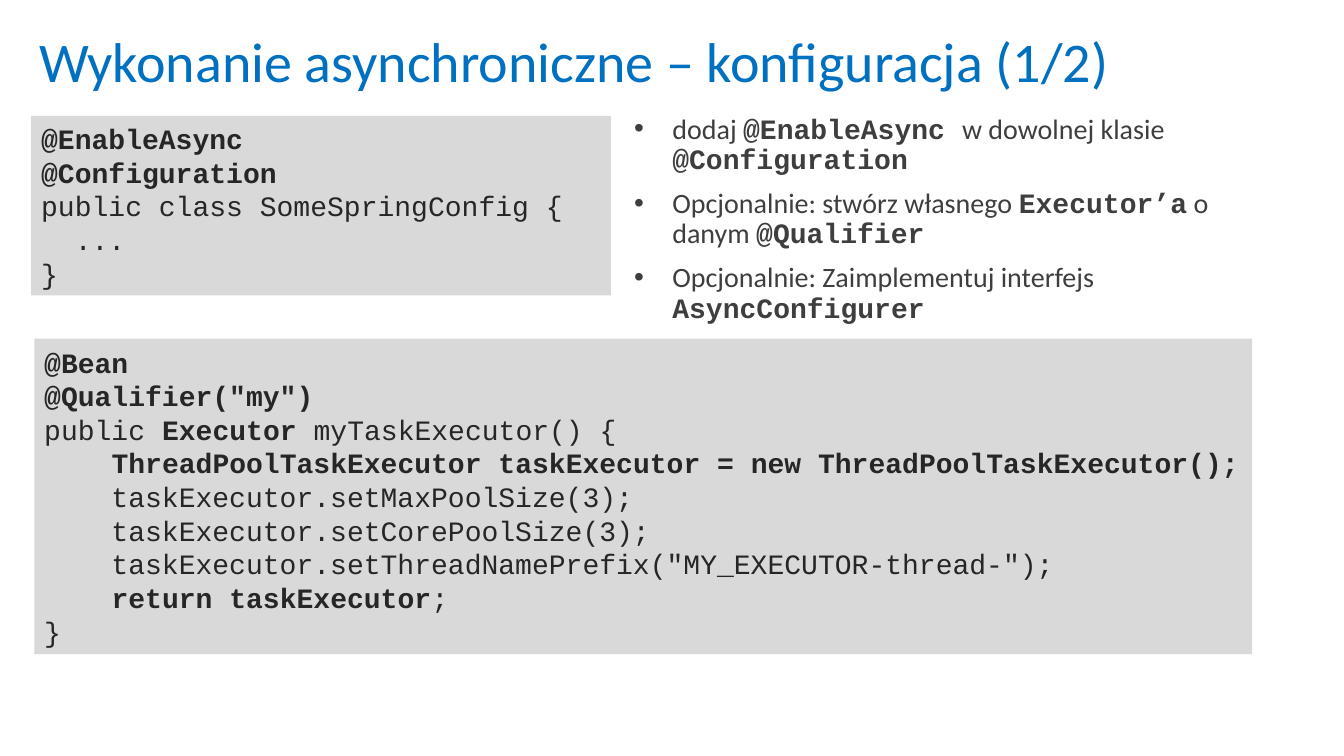
from lxml import etree
from pptx import Presentation
from pptx.dml.color import RGBColor
from pptx.enum.shapes import MSO_SHAPE
from pptx.enum.text import MSO_ANCHOR, PP_ALIGN
from pptx.oxml.ns import qn
from pptx.util import Pt

SCALE = 9144  # EMU per px, 100 px to the inch
COLORS = {"title": "0070C0", "body": "3E3E3E", "code": "262626", "panel": "D9D9D9"}
TEXT_FONT, CODE_FONT = "Calibri", "Courier New"

CONFIG_CODE = """**@EnableAsync**
**@Configuration**
public class SomeSpringConfig {
  ...
}"""

EXECUTOR_CODE = """**@Bean**
**@Qualifier("my")**
public **Executor** myTaskExecutor() {
    **ThreadPoolTaskExecutor taskExecutor = new ThreadPoolTaskExecutor();**
    taskExecutor.setMaxPoolSize(3);
    taskExecutor.setCorePoolSize(3);
    taskExecutor.setThreadNamePrefix("MY_EXECUTOR-thread-");
    **return taskExecutor**;
}"""

STEPS = [
    "dodaj **@EnableAsync **w dowolnej klasie **@Configuration**",
    "Opcjonalnie: stwórz własnego **Executor’a** o danym **@Qualifier**",
    "Opcjonalnie: Zaimplementuj interfejs **AsyncConfigurer**",
]


class SlideBuilder:
    def __init__(self, slide):
        self.slide = slide

    def apply(self, target, formats):
        for name, value in formats.items():
            setattr(target, name, value)

    def place(self, *box):
        return [length * SCALE for length in box]

    def fill_frame(self, frame, lines, color, size, font, bold_font, spacing=None, bullet=False):
        """Add one paragraph per line; parts between ** marks are bold."""
        for index, line in enumerate(lines):
            paragraph = frame.paragraphs[0] if index == 0 else frame.add_paragraph()
            if bullet:
                self.add_bullet(paragraph)
            self.apply(paragraph, {
                "alignment": PP_ALIGN.LEFT,
                "line_spacing": spacing,
                "space_before": Pt(10 if bullet and index else 0),
            })
            for position, part in enumerate(line.split("**")):
                if not part:
                    continue
                bold = position % 2 == 1
                run = paragraph.add_run()
                run.text = part
                self.apply(run.font, {
                    "name": bold_font if bold else font,
                    "size": Pt(size),
                    "bold": bold,
                })
                run.font.color.rgb = RGBColor.from_string(COLORS[color])

    def add_bullet(self, paragraph):
        properties = paragraph._p.get_or_add_pPr()
        properties.set("marL", str(38 * SCALE))
        properties.set("indent", str(-38 * SCALE))
        etree.SubElement(properties, qn("a:buFont")).set("typeface", "Arial")
        etree.SubElement(properties, qn("a:buChar")).set("char", "•")

    def text(self, box, lines, **style):
        frame = self.slide.shapes.add_textbox(*self.place(*box)).text_frame
        self.apply(frame, {"word_wrap": True, "vertical_anchor": MSO_ANCHOR.TOP})
        self.fill_frame(frame, lines, spacing=0.9, **style)

    def code_panel(self, box, code):
        shape = self.slide.shapes.add_shape(MSO_SHAPE.RECTANGLE, *self.place(*box))
        shape.shadow.inherit = False
        shape.fill.solid()
        shape.fill.fore_color.rgb = RGBColor.from_string(COLORS["panel"])
        shape.line.fill.background()
        frame = shape.text_frame
        self.apply(frame, {"word_wrap": True, "vertical_anchor": MSO_ANCHOR.MIDDLE})
        self.fill_frame(frame, code.split("\n"), "code", 20, CODE_FONT, CODE_FONT)


def main():
    presentation = Presentation()
    presentation.slide_width = 1333 * SCALE
    presentation.slide_height = 750 * SCALE
    builder = SlideBuilder(presentation.slides.add_slide(presentation.slide_layouts[6]))

    # Steps and title
    builder.text((619, 109, 638, 180), STEPS, color="body", size=20,
                 font=TEXT_FONT, bold_font=CODE_FONT, bullet=True)
    builder.text((29, 29, 1202, 94), ["Wykonanie asynchroniczne – konfiguracja (1/2)"],
                 color="title", size=40, font=TEXT_FONT, bold_font=TEXT_FONT)

    # Code panels
    builder.code_panel((31, 115, 575, 178), CONFIG_CODE)
    builder.code_panel((34, 336, 1208, 313), EXECUTOR_CODE)

    presentation.save("out.pptx")


if __name__ == "__main__":
    main()
